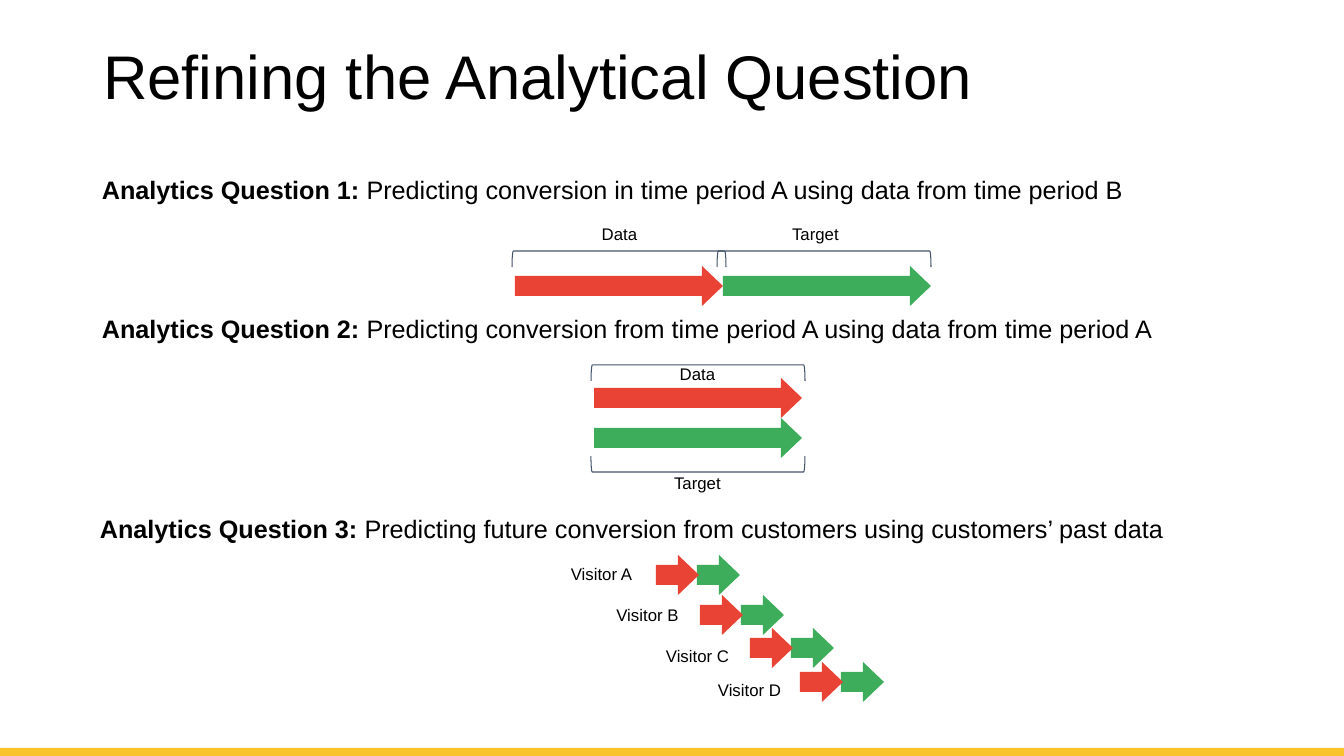
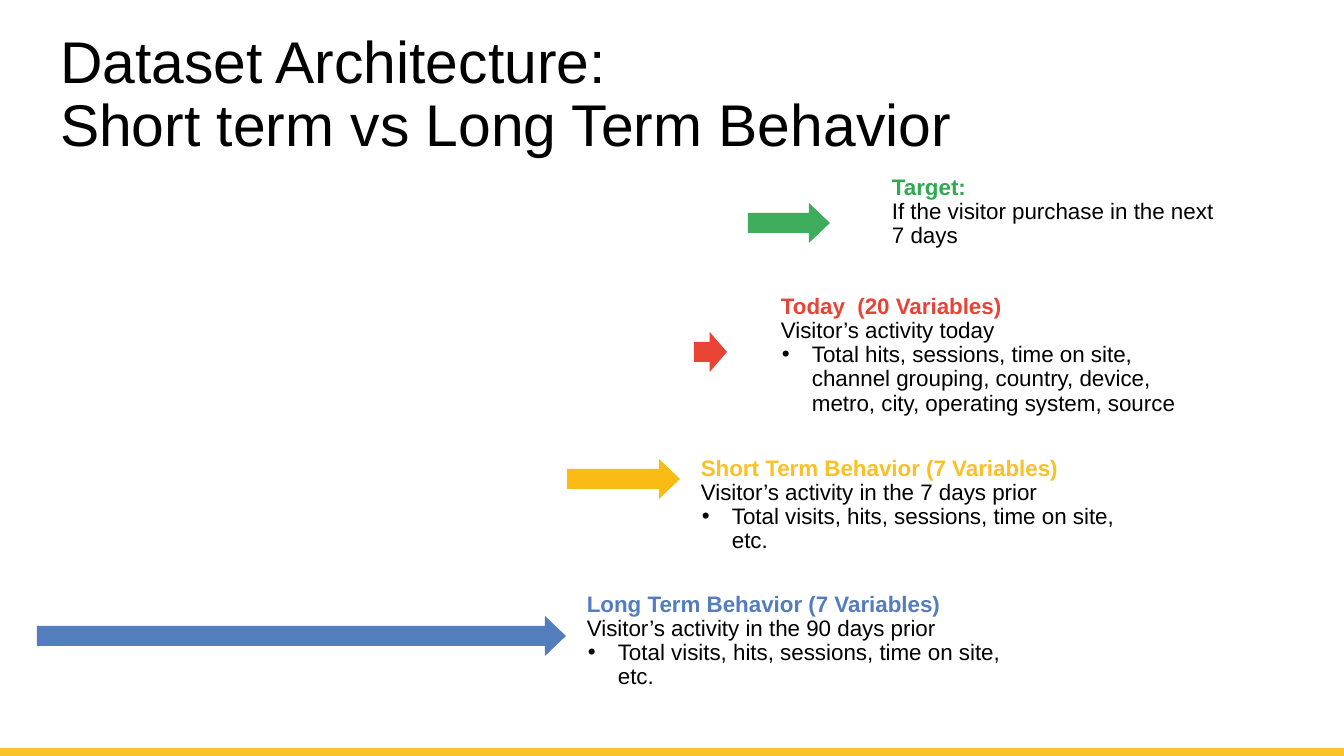
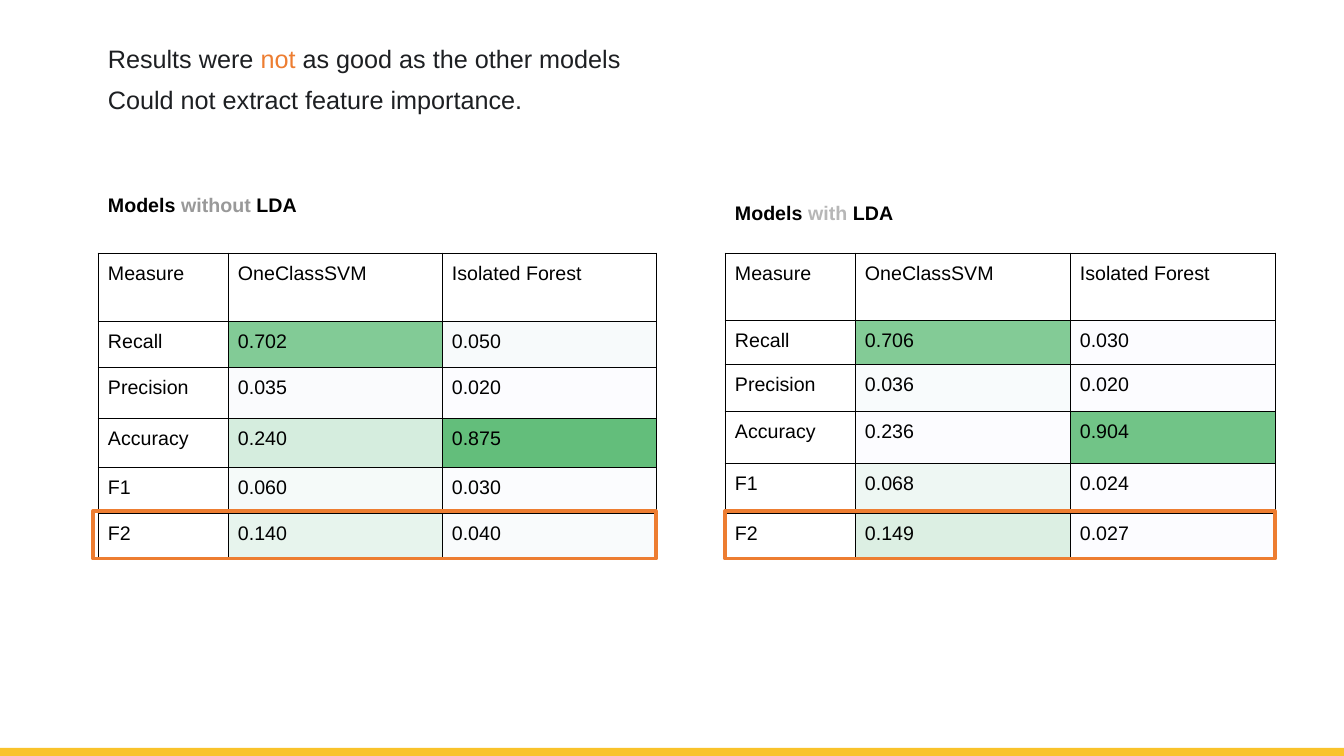
from lxml import etree
from pptx import Presentation
from pptx import util as u
from pptx.dml.color import RGBColor
from pptx.enum import shapes, text
from pptx.oxml import ns

PX = u.Inches(1) / 100.8
W, H = 1344, 756
FONT = "Arial"
BLACK, WHITE = "000000", "FFFFFF"
RED, GREEN, BLUE, AMBER = "E94335", "3DAD5B", "547DBE", "F9BB14"
BAND, SLATE, ORANGE = "F9C32B", "44546A", "ED7D31"
PLAIN_TABLE = "{2D5ABB26-0587-4C30-8999-92F81FD0307C}"
ARROW_H, HEAD = 40, 0.524
TITLE_LAYOUT, BLANK_LAYOUT = 5, 6


def px(*lengths):
    return [u.Emu(round(v * PX)) for v in lengths]


def rgb(value):
    return RGBColor.from_string(value)


def put_text(tf, paras, size=18, color=BLACK, bold=False, spacing=0.9, before=0,
             align=text.PP_ALIGN.LEFT, anchor=text.MSO_ANCHOR.MIDDLE):
    """Fill a frame; each paragraph lists (text, overrides) runs."""
    tf.word_wrap = True
    tf.auto_size = text.MSO_AUTO_SIZE.NONE
    tf.vertical_anchor = anchor
    for i, runs in enumerate(paras):
        p = tf.add_paragraph() if i else tf.paragraphs[0]
        p.alignment, p.line_spacing = align, spacing
        p.space_before = u.Pt(before if i else 0)
        for words, own in runs:
            r = p.add_run()
            r.text = words
            r.font.name, r.font.size = FONT, u.Pt(size)
            r.font.bold = own.get("bold", bold)
            r.font.color.rgb = rgb(own.get("color", color))


def add_text(s, box, paras, **fmt):
    tf = s.shapes.add_textbox(*px(*box)).text_frame
    put_text(tf, paras, **fmt)
    return tf


def add_label(s, box, words):
    add_text(s, box, [[(words, {})]], size=12, align=text.PP_ALIGN.CENTER)


def add_shape(s, kind, box, fill=None, line=None, weight=1):
    sp = s.shapes.add_shape(kind, *px(*box))
    sp.shadow.inherit = False
    if fill:
        sp.fill.solid()
        sp.fill.fore_color.rgb = rgb(fill)
    else:
        sp.fill.background()
    if line:
        sp.line.color.rgb = rgb(line)
        sp.line.width = u.Pt(weight)
    else:
        sp.line.fill.background()
    return sp


def add_arrow(s, x, y, w, color):
    sp = add_shape(s, shapes.MSO_SHAPE.RIGHT_ARROW, (x, y, w, ARROW_H), color)
    sp.adjustments[0], sp.adjustments[1] = 0.5, HEAD


def add_bracket(s, x, y, w=214, h=16, rotation=90):
    """Lay a bracket flat so that it covers the given box."""
    upright = (x + (w - h) / 2, y + (h - w) / 2, h, w)
    sp = add_shape(s, shapes.MSO_SHAPE.LEFT_BRACKET, upright, line=SLATE, weight=0.75)
    sp.adjustments[0] = 0.083
    sp.rotation = rotation


def add_bullet(p):
    pPr = p._p.get_or_add_pPr()
    indent, hang = px(31, -30)
    pPr.set("marL", str(indent))
    pPr.set("indent", str(hang))
    etree.SubElement(pPr, ns.qn("a:buFont")).set("typeface", FONT)
    etree.SubElement(pPr, ns.qn("a:buChar")).set("char", "•")


def new_slide(prs, title=None, box=None, size=44):
    s = prs.slides.add_slide(prs.slide_layouts[TITLE_LAYOUT if title else BLANK_LAYOUT])
    if title:
        sp = s.shapes.title
        sp.left, sp.top, sp.width, sp.height = px(*box)
        put_text(sp.text_frame, [[(line, {})] for line in title], size=size)
    add_shape(s, shapes.MSO_SHAPE.RECTANGLE, (0, H - 8, W, 8), BAND)
    return s


def question(s, x, y, number, words):
    add_text(s, (x, y, 1220, 77),
             [[(f"Analytics Question {number}: ", {"bold": True}), (words, {})]])


def consecutive_periods(s, x, y, w=208):
    for i, (name, color, shift) in enumerate((("Data", RED, 67), ("Target", GREEN, 55))):
        left = x + i * w
        add_label(s, (left + shift, y, 75, 40), name)
        add_bracket(s, x - 3 + i * 205, y + 36)
        add_arrow(s, left, y + 51, w, color)


def shared_period(s, x, y, w=208):
    add_bracket(s, x - 3, y)
    add_label(s, (x + 66, y - 10, 75, 40), "Data")
    add_arrow(s, x, y + 13, w, RED)
    add_arrow(s, x, y + 13 + ARROW_H, w, GREEN)
    add_bracket(s, x - 3, y + 91, rotation=270)
    add_label(s, (x + 66, y + 99, 75, 40), "Target")


def visitor(s, x, y, name, label_x, label_y):
    add_label(s, (label_x, label_y, 93, 40), f"Visitor {name}")
    add_arrow(s, x + 41, y, 43, GREEN)
    add_arrow(s, x, y, 43, RED)


def questions_slide(prs):
    s = new_slide(prs, ["Refining the Analytical Question"], (93, 7, 1159, 146))
    question(s, 92, 153, 1,
             "Predicting conversion in time period A using data from time period B")
    consecutive_periods(s, 515, 215)
    question(s, 92, 292, 2,
             "Predicting conversion from time period A using data from time period A")
    shared_period(s, 594, 365)
    question(s, 90, 492, 3,
             "Predicting future conversion from customers using customers’ past data")
    for row in ((656, 555, "A", 555, 555), (700, 595, "B", 601, 596),
                (750, 628, "C", 651, 637), (800, 662, "D", 703, 671)):
        visitor(s, *row)


def period(s, arrow, color, box, heading, words, bullet=None, heading_color=None):
    add_arrow(s, *arrow, color)
    paras = [[(heading, {"bold": True, "color": heading_color or color})], [(words, {})]]
    if bullet:
        paras.append([(bullet, {})])
    tf = add_text(s, box, paras, size=16)
    if bullet:
        add_bullet(tf.paragraphs[-1])


def architecture_slide(prs):
    s = new_slide(prs, ["Dataset Architecture:", "Short term vs Long Term Behavior"],
                  (50, 23, 1242, 146), size=42)
    visits = "Total visits, hits, sessions, time on site, etc."
    period(s, (748, 203, 82), GREEN, (882, 175, 345, 75), "Target:",
           "If the visitor purchase in the next 7 days", heading_color="31A851")
    period(s, (694, 332, 33), RED, (771, 300, 440, 111), "Today  (20 Variables)",
           "Visitor’s activity today",
           "Total hits, sessions, time on site, channel grouping, country, device, "
           "metro, city, operating system, source")
    period(s, (567, 459, 113), AMBER, (691, 453, 456, 105),
           "Short Term Behavior (7 Variables)", "Visitor’s activity in the 7 days prior",
           visits, "FAC026")
    period(s, (37, 616, 529), BLUE, (577, 604, 456, 75),
           "Long Term Behavior (7 Variables)", "Visitor’s activity in the 90 days prior",
           visits)


def add_borders(cell, sides, color=BLACK, weight=0.5):
    tcPr = cell._tc.get_or_add_tcPr()
    for side in sides:
        ln = etree.SubElement(tcPr, ns.qn(f"a:ln{side}"), w=str(u.Pt(weight)))
        fill = etree.SubElement(ln, ns.qn("a:solidFill"))
        etree.SubElement(fill, ns.qn("a:srgbClr"), val=color)


def fill_cell(cell, runs, sides, fill=None, bold=False):
    cell.margin_left, cell.margin_top, cell.margin_right, cell.margin_bottom = px(10, 10, 10, 10)
    add_borders(cell, sides)
    if fill:
        cell.fill.solid()
        cell.fill.fore_color.rgb = rgb(fill)
    else:
        cell.fill.background()
    if runs:
        put_text(cell.text_frame, [runs], size=14, bold=bold, spacing=1,
                 anchor=text.MSO_ANCHOR.TOP)


def results_table(s, x, y, cols, rows, heading, scores, outset=0):
    """Scores hold (measure, (value, fill), (value, fill)); the last row is framed."""
    frame = s.shapes.add_table(len(rows), len(cols), *px(x, y, sum(cols), sum(rows)))
    table = frame.table
    table.first_row = table.horz_banding = False
    table._tbl.tblPr.find(ns.qn("a:tableStyleId")).text = PLAIN_TABLE
    for col, width in zip(table.columns, px(*cols)):
        col.width = width
    for row, height in zip(table.rows, px(*rows)):
        row.height = height

    table.cell(0, 0).merge(table.cell(0, len(cols) - 1))
    for c in range(len(cols)):
        fill_cell(table.cell(0, c), None if c else heading, "B", bold=True)
    names = [(name, None) for name in ("Measure", "OneClassSVM", "Isolated Forest")]
    body = [names] + [[(measure, None), *values] for measure, *values in scores]
    for i, line in enumerate(body, 1):
        for c, (words, fill) in enumerate(line):
            fill_cell(table.cell(i, c), [(words, {})], "LRTB", fill)

    last_top = y + sum(rows[:-1])
    add_shape(s, shapes.MSO_SHAPE.RECTANGLE,
              (x - outset, last_top - 2, sum(cols) + outset, 48), line=ORANGE, weight=2.25)


def results_slide(prs):
    s = new_slide(prs)
    add_text(s, (98, 42, 806, 80),
             [[("Results were ", {}), ("not", {"color": ORANGE}),
               (" as good as the other models", {})],
              [("Could not extract feature importance.", {})]],
             color="1D1F22", before=10, anchor=text.MSO_ANCHOR.TOP)
    results_table(
        s, 98, 185, (130, 214, 214), (68, 68, 46, 51, 49, 46, 46),
        [("Models ", {}), ("without ", {"color": "999999"}), ("LDA", {})],
        [("Recall", ("0.702", "82CB96"), ("0.050", "F7FAFB")),
         ("Precision", ("0.035", "FAFBFD"), ("0.020", "FCFCFF")),
         ("Accuracy", ("0.240", "D5EDDE"), ("0.875", "63BE7B")),
         ("F1", ("0.060", "F5FAF9"), ("0.030", "FBFCFE")),
         ("F2", ("0.140", "E7F4ED"), ("0.040", "F9FBFC"))], outset=5)
    results_table(
        s, 725, 193, (130, 215, 205), (60, 67, 44, 47, 52, 50, 46),
        [("Models ", {}), ("with", {"color": "B7B7B7"}), (" LDA", {})],
        [("Recall", ("0.706", "83CB96"), ("0.030", "FCFCFF")),
         ("Precision", ("0.036", "F8FBFC"), ("0.020", "FCFCFF")),
         ("Accuracy", ("0.236", "FCFCFF"), ("0.904", "71C487")),
         ("F1", ("0.068", "EEF7F3"), ("0.024", "FCFCFF")),
         ("F2", ("0.149", "DCEFE3"), ("0.027", "FCFCFF"))])


def main():
    prs = Presentation()
    prs.slide_width, prs.slide_height = px(W, H)
    background = prs.slide_master.background.fill
    background.solid()
    background.fore_color.rgb = rgb(WHITE)
    questions_slide(prs)
    architecture_slide(prs)
    results_slide(prs)
    prs.save("out.pptx")


if __name__ == "__main__":
    main()
